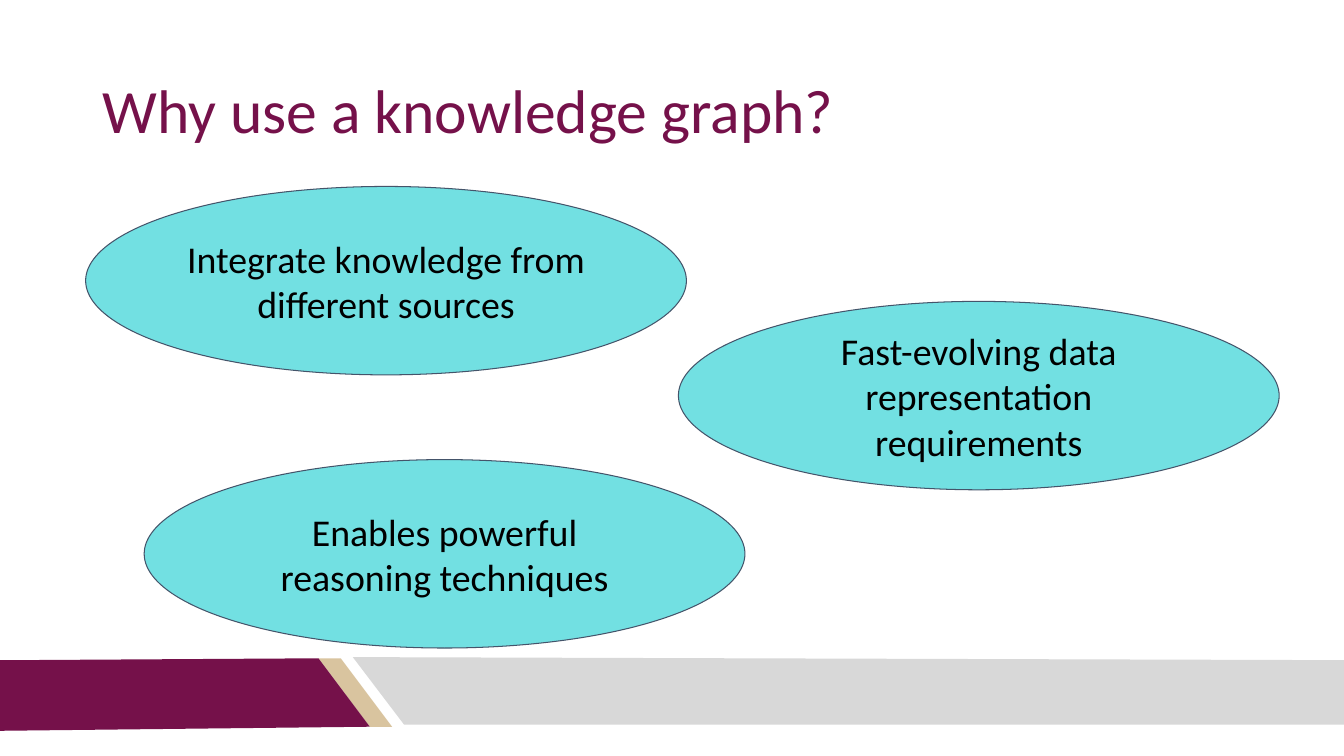
from pptx import Presentation
from pptx.dml.color import RGBColor
from pptx.enum.shapes import MSO_SHAPE
from pptx.enum.text import MSO_ANCHOR, PP_ALIGN
from pptx.util import Pt

SLIDE_WIDTH, SLIDE_HEIGHT = 960, 540
MAROON, SAND, GREY = "75114A", "D9C49F", "D8D8D8"
AQUA, SLATE, BLACK = "72E0E2", "44546A", "000000"
REASON_SIZE = (429.1, 134.6)

FOOTER_BANDS = [
    (SAND, [(227.5, 470.2), (243.4, 470.2), (280.1, 519.1), (264.2, 519.1)]),
    (MAROON, [(0, 471.6), (227.5, 470.2), (264.2, 519.1), (0, 522)]),
    (GREY, [(252, 469.4), (960, 471.6), (960, 517.7), (288.7, 517.7)]),
]
REASONS = [
    ("Integrate knowledge from different sources", 61.2, 133.2),
    ("Fast-evolving data representation requirements", 484.6, 215.3),
    ("Enables powerful reasoning techniques", 103, 328.3),
]


def rgb(value):
    return RGBColor.from_string(value)


class SlideBuilder:
    font = "Calibri"
    inset = 7.2

    def __init__(self, slide):
        self.slide = slide

    def set_text(self, shape, text, size, color, align):
        """Fill a shape with one middle-anchored, wrapped paragraph."""
        frame = shape.text_frame
        frame.text = text
        frame.word_wrap = True
        frame.vertical_anchor = MSO_ANCHOR.MIDDLE
        frame.margin_left = frame.margin_right = Pt(self.inset)
        frame.margin_top = frame.margin_bottom = Pt(self.inset)
        paragraph = frame.paragraphs[0]
        paragraph.alignment = align
        font = paragraph.runs[0].font
        font.name = self.font
        font.size = Pt(size)
        font.color.rgb = rgb(color)
        return paragraph

    def paint(self, shape, fill, line=None):
        shape.shadow.inherit = False
        shape.fill.solid()
        shape.fill.fore_color.rgb = rgb(fill)
        if line:
            shape.line.color.rgb = rgb(line)
            shape.line.width = Pt(0.75)
        else:
            shape.line.fill.background()

    def band(self, fill, corners):
        points = [(Pt(x), Pt(y)) for x, y in corners]
        outline = self.slide.shapes.build_freeform(*points[0], scale=1.0)
        outline.add_line_segments(points[1:], close=True)
        self.paint(outline.convert_to_shape(), fill)

    def title(self, text, left, top, width, height):
        heading = self.slide.shapes.add_textbox(
            Pt(left), Pt(top), Pt(width), Pt(height))
        paragraph = self.set_text(heading, text, 44, MAROON, PP_ALIGN.LEFT)
        paragraph.line_spacing = 0.9

    def reason(self, text, left, top):
        width, height = REASON_SIZE
        oval = self.slide.shapes.add_shape(
            MSO_SHAPE.OVAL, Pt(left), Pt(top), Pt(width), Pt(height))
        self.paint(oval, AQUA, SLATE)
        self.set_text(oval, text, 27, BLACK, PP_ALIGN.CENTER)


def main():
    deck = Presentation()
    deck.slide_width, deck.slide_height = Pt(SLIDE_WIDTH), Pt(SLIDE_HEIGHT)
    builder = SlideBuilder(deck.slides.add_slide(deck.slide_layouts[6]))
    for fill, corners in FOOTER_BANDS:
        builder.band(fill, corners)
    builder.title("Why use a knowledge graph?", 66.2, 28.8, 828, 104.4)
    for text, left, top in REASONS:
        builder.reason(text, left, top)
    deck.save("out.pptx")


if __name__ == "__main__":
    main()
